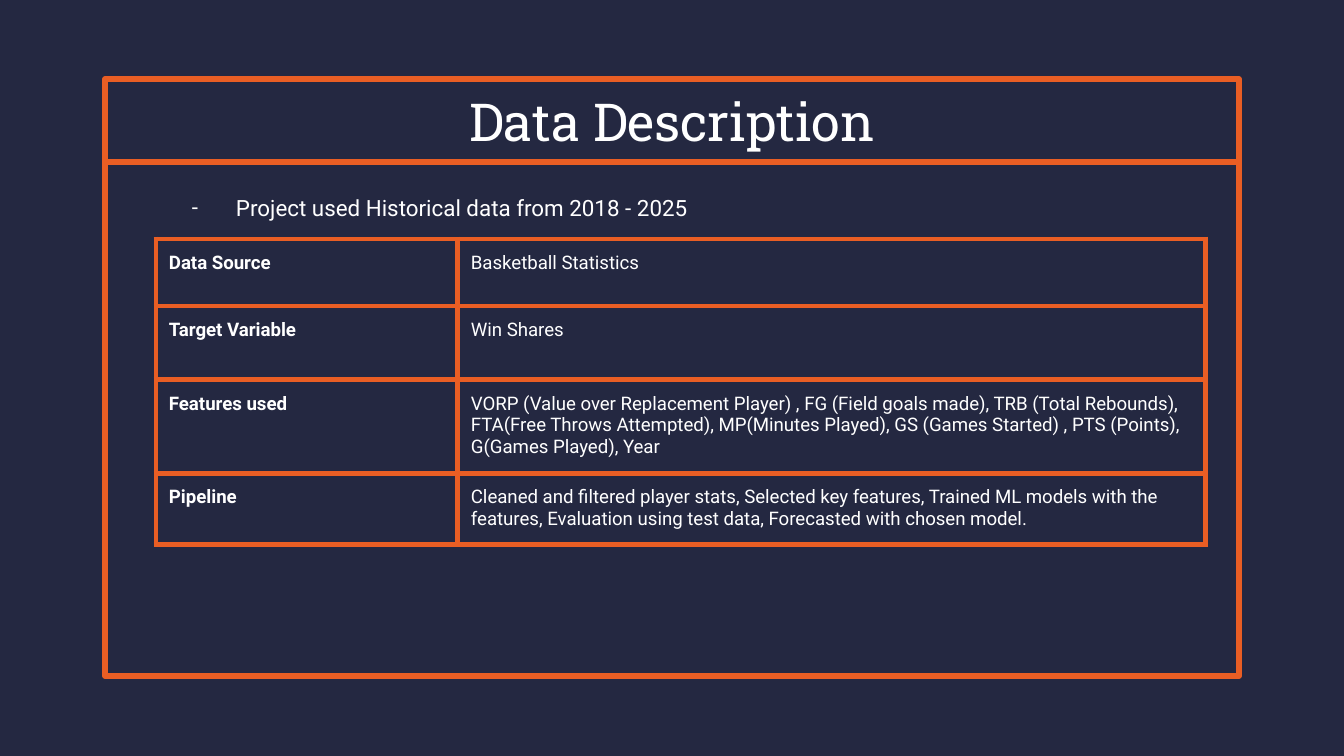
from dataclasses import dataclass

from lxml.etree import SubElement
from pptx import Presentation
from pptx.dml.color import RGBColor
from pptx.enum.shapes import MSO_CONNECTOR as Connector, MSO_SHAPE as Shape
from pptx.enum.text import MSO_ANCHOR as Anchor, PP_ALIGN as Align
from pptx.oxml.ns import qn
from pptx.util import Emu, Pt

# Content
TITLE = "Data Description"
PERIOD = "Project used Historical data from 2018 - 2025"
# label, description, minimum row height in px
DETAILS = [
    ("Data Source", "Basketball Statistics", 67),
    ("Target Variable", "Win Shares", 74),
    ("Features used",
     "VORP (Value over Replacement Player) , FG (Field goals made), "
     "TRB (Total Rebounds), FTA(Free Throws Attempted), MP(Minutes Played), "
     "GS (Games Started) , PTS (Points), G(Games Played), Year", 67),
    ("Pipeline",
     "Cleaned and filtered player stats, Selected key features, "
     "Trained ML models with the features, Evaluation using test data, "
     "Forecasted with chosen model.", 67),
]


@dataclass(frozen=True)
class Theme:
    background: str = "242841"
    accent: str = "E95E24"
    text: str = "FFFFFF"
    heading_font: str = "Roboto Slab"
    body_font: str = "Roboto"
    title_size: int = 28
    bullet_size: int = 12
    table_size: int = 10
    rule: int = 3


THEME = Theme()

# Layout in px
SLIDE_W, SLIDE_H = 1344, 756
FRAME_X, FRAME_Y, FRAME_W, FRAME_H = 105, 79, 1134, 597
TITLE_H, DIVIDER_Y, DIVIDER_INSET = 84, 162, 3
CONTENT_X, BULLET_Y, BULLET_W, BULLET_H = 156, 181, 1051, 70
TABLE_Y, COLUMNS = 239, (302, 748)
PAD, INDENT, HANG = 13, 67, 44


def px(n):
    return Emu(round(n * 914400 / 134.4))


def rgb(value):
    return RGBColor.from_string(value)


def add_run(paragraph, text, size, font=THEME.body_font, bold=False):
    run = paragraph.add_run()
    run.text = text
    run.font.name, run.font.size, run.font.bold = font, Pt(size), bold
    run.font.color.rgb = rgb(THEME.text)


def style_rule(line):
    line.color.rgb = rgb(THEME.accent)
    line.width = Pt(THEME.rule)


def add_text_box(slide, x, y, w, h, right_pad=PAD):
    frame = slide.shapes.add_textbox(px(x), px(y), px(w), px(h)).text_frame
    frame.word_wrap = True
    frame.margin_left = frame.margin_top = frame.margin_bottom = px(PAD)
    frame.margin_right = px(right_pad)
    return frame


def add_cell_borders(cell):
    props = cell._tc.get_or_add_tcPr()
    for index, side in enumerate(("lnL", "lnR", "lnT", "lnB")):
        border = props.makeelement(qn(f"a:{side}"), {"w": str(Pt(THEME.rule))})
        fill = SubElement(border, qn("a:solidFill"))
        SubElement(fill, qn("a:srgbClr"), val=THEME.accent)
        props.insert(index, border)


def add_frame(slide):
    border = slide.shapes.add_shape(
        Shape.RECTANGLE, px(FRAME_X), px(FRAME_Y), px(FRAME_W), px(FRAME_H))
    border.shadow.inherit = False
    border.fill.background()
    style_rule(border.line)
    SubElement(border.line._get_or_add_ln(), qn("a:round"))

    divider = slide.shapes.add_connector(
        Connector.STRAIGHT,
        px(FRAME_X + DIVIDER_INSET), px(DIVIDER_Y),
        px(FRAME_X + FRAME_W - DIVIDER_INSET), px(DIVIDER_Y))
    style_rule(divider.line)
    SubElement(divider._element.spPr, qn("a:effectLst"))


def add_title(slide):
    frame = add_text_box(slide, FRAME_X, FRAME_Y, FRAME_W, TITLE_H)
    frame.vertical_anchor = Anchor.MIDDLE
    paragraph = frame.paragraphs[0]
    paragraph.alignment = Align.CENTER
    add_run(paragraph, TITLE, THEME.title_size, THEME.heading_font)


def add_details(slide):
    heights = [height for _, _, height in DETAILS]
    graphic = slide.shapes.add_table(
        len(DETAILS), len(COLUMNS), px(CONTENT_X), px(TABLE_Y),
        px(sum(COLUMNS)), px(sum(heights)))
    table = graphic.table
    table.first_row = table.horz_banding = False
    for column, width in zip(table.columns, COLUMNS):
        column.width = px(width)
    for row, (label, description, height) in zip(table.rows, DETAILS):
        row.height = px(height)
        for cell, text, bold in zip(row.cells, (label, description), (True, False)):
            cell.fill.background()
            cell.margin_left = cell.margin_right = px(PAD)
            cell.margin_top = cell.margin_bottom = px(PAD)
            add_run(cell.text_frame.paragraphs[0], text, THEME.table_size, bold=bold)
            add_cell_borders(cell)


def add_period(slide):
    frame = add_text_box(slide, CONTENT_X, BULLET_Y, BULLET_W, BULLET_H, right_pad=0)
    paragraph = frame.paragraphs[0]
    props = paragraph._p.get_or_add_pPr()
    props.set("marL", str(px(INDENT)))
    props.set("indent", str(-px(HANG)))
    color = SubElement(props, qn("a:buClr"))
    SubElement(color, qn("a:srgbClr"), val=THEME.text)
    SubElement(props, qn("a:buFont"), typeface=THEME.body_font)
    SubElement(props, qn("a:buChar"), char="-")
    add_run(paragraph, PERIOD, THEME.bullet_size)


def main():
    deck = Presentation()
    deck.slide_width, deck.slide_height = px(SLIDE_W), px(SLIDE_H)
    slide = deck.slides.add_slide(deck.slide_layouts[6])
    slide.background.fill.solid()
    slide.background.fill.fore_color.rgb = rgb(THEME.background)
    add_frame(slide)
    add_title(slide)
    add_details(slide)
    add_period(slide)
    deck.save("out.pptx")


if __name__ == "__main__":
    main()
